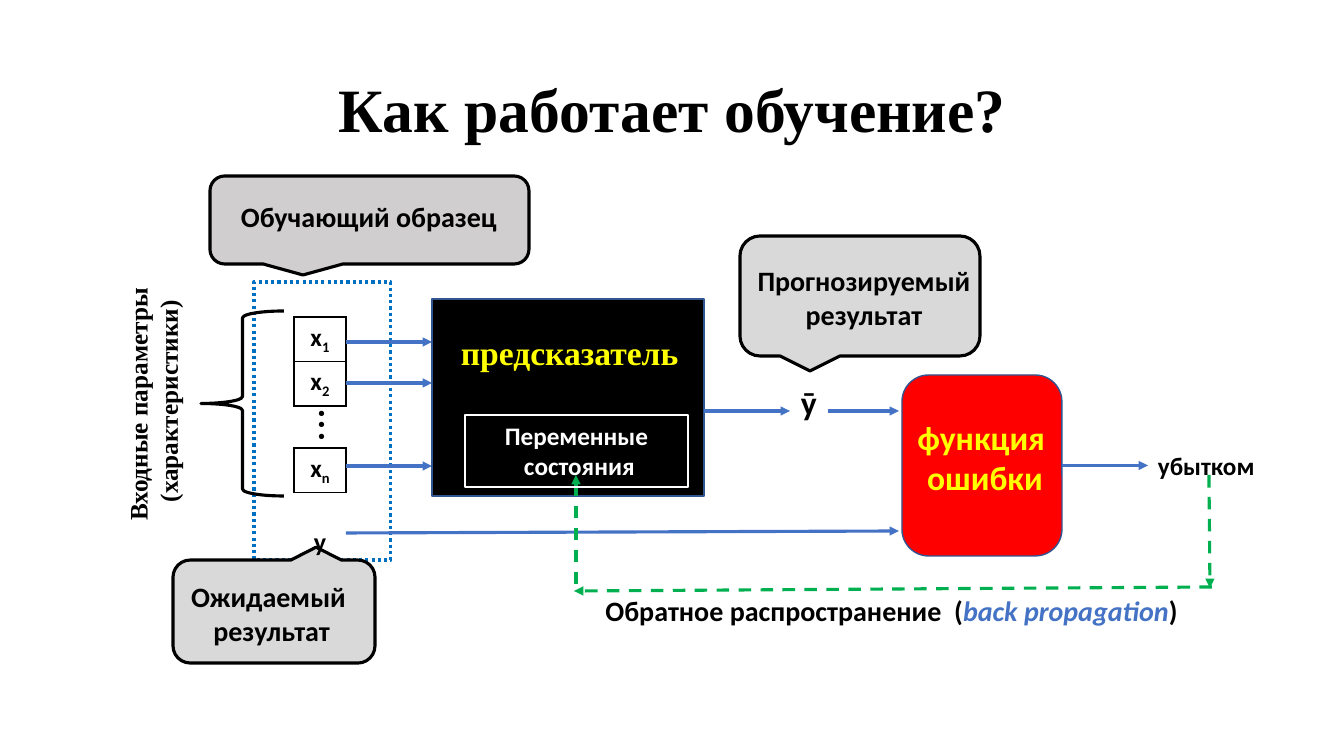
import dataclasses

import lxml.etree
import pptx
import pptx.dml.color
import pptx.enum.dml
import pptx.enum.shapes
import pptx.enum.text
import pptx.oxml.ns
import pptx.util

KINDS = pptx.enum.shapes.MSO_SHAPE
DASHES = pptx.enum.dml.MSO_LINE
ALIGN = pptx.enum.text.PP_ALIGN
ANCHOR = pptx.enum.text.MSO_ANCHOR
FIT = pptx.enum.text.MSO_AUTO_SIZE.SHAPE_TO_FIT_TEXT
qn = pptx.oxml.ns.qn


@dataclasses.dataclass(frozen=True)
class Theme:
    sans: str = "Calibri"
    serif: str = "Times New Roman"
    black: str = "000000"
    white: str = "FFFFFF"
    yellow: str = "FFFF00"
    red: str = "FF0000"
    blue: str = "4472C4"
    edge: str = "325491"
    sample: str = "0070C0"
    green: str = "00B050"
    gray: str = "D9D9D9"
    warm_gray: str = "D0CECE"
    title: int = 44
    large: int = 32
    heading: int = 24
    note: int = 20
    body: int = 18
    thick: float = 2.25
    thin: float = 1


def emu(px):
    return round(px * 914400 / 100.8)


def rgb(color):
    return pptx.dml.color.RGBColor.from_string(color)


class Diagram:
    def __init__(self, deck, theme):
        self.theme = theme
        self.slide = deck.slides.add_slide(deck.slide_layouts[6])
        self.shapes = self.slide.shapes

    def start_group(self):
        self.shapes = self.slide.shapes.add_group_shape().shapes

    def end_group(self):
        self.shapes = self.slide.shapes

    def shape(self, kind, box, line, width, fill=None, dash=None, rotation=0):
        figure = self.shapes.add_shape(kind, *map(emu, box))
        figure.shadow.inherit = False
        figure.rotation = rotation
        if fill:
            figure.fill.solid()
            figure.fill.fore_color.rgb = rgb(fill)
        else:
            figure.fill.background()
        figure.line.color.rgb = rgb(line)
        figure.line.width = pptx.util.Pt(width)
        if dash:
            figure.line.dash_style = dash
        return figure

    def callout(self, box, fill, rotation=0):
        return self.shape(KINDS.ROUNDED_RECTANGULAR_CALLOUT, box, self.theme.black,
                          self.theme.thick, fill, rotation=rotation)

    def run(self, paragraph, words, size, color=None, font=None, bold=True,
            italic=False, baseline=0):
        piece = paragraph.add_run()
        piece.text = words
        piece.font.name = font or self.theme.sans
        piece.font.size = pptx.util.Pt(size)
        piece.font.bold = bold
        piece.font.italic = italic
        piece.font.color.rgb = rgb(color or self.theme.black)
        if baseline:
            piece.font._element.set("baseline", str(baseline * 1000))

    def fill_text(self, frame, lines, size, align=ALIGN.CENTER, **style):
        frame.word_wrap = True
        for number, line in enumerate(lines):
            paragraph = frame.add_paragraph() if number else frame.paragraphs[0]
            paragraph.alignment = align
            self.run(paragraph, line, size, **style)

    def text(self, box, lines, size, rotation=0, **style):
        label = self.shapes.add_textbox(*map(emu, box))
        label.rotation = rotation
        self.fill_text(label.text_frame, lines, size, **style)
        label.text_frame.auto_size = FIT
        return label

    def arrow(self, start, end, color=None, dash=None, tip="tailEnd"):
        link = self.shapes.add_connector(pptx.enum.shapes.MSO_CONNECTOR.STRAIGHT,
                                         *map(emu, start + end))
        link.line.color.rgb = rgb(color or self.theme.blue)
        link.line.width = pptx.util.Pt(self.theme.thick)
        if dash:
            link.line.dash_style = dash
        outline = link.line._get_or_add_ln()
        lxml.etree.SubElement(outline, qn("a:" + tip), type="triangle")
        lxml.etree.SubElement(link._element.spPr, qn("a:effectLst"))
        return link

    def border(self, cell, sides):
        properties = cell._tc.get_or_add_tcPr()
        for side in "LRTB":
            edge = lxml.etree.SubElement(properties, qn("a:ln" + side),
                                         w=str(pptx.util.Pt(self.theme.thin)))
            if side in sides:
                paint = lxml.etree.SubElement(edge, qn("a:solidFill"))
                lxml.etree.SubElement(paint, qn("a:srgbClr"), val=self.theme.black)
            else:
                lxml.etree.SubElement(edge, qn("a:noFill"))

    def column(self, box, rows):
        table = self.shapes.add_table(len(rows), 1, *map(emu, box)).table
        table.first_row = table.horz_banding = False
        for number, (height, sides, runs) in enumerate(rows):
            table.rows[number].height = emu(height)
            cell = table.cell(number, 0)
            self.border(cell, sides)
            cell.fill.background()
            cell.vertical_anchor = ANCHOR.MIDDLE
            paragraph = cell.text_frame.paragraphs[0]
            paragraph.alignment = ALIGN.CENTER
            for words, size, baseline in runs:
                self.run(paragraph, words, size, baseline=baseline)


def build(diagram):
    t = diagram.theme
    diagram.shape(KINDS.RECTANGLE, (254, 282, 137, 278), t.sample, t.thick,
                  dash=DASHES.ROUND_DOT)
    diagram.callout((173, 560, 202, 103), t.gray, rotation=180)
    diagram.text((270, 383, 73, 65), ["..."], t.large, rotation=270,
                 align=ALIGN.LEFT, font=t.serif, bold=False)

    title = diagram.text((93, 40, 1159, 146), ["Как работает обучение?"], t.title,
                         font=t.serif)
    title.text_frame.auto_size = pptx.enum.text.MSO_AUTO_SIZE.NONE
    title.text_frame.vertical_anchor = ANCHOR.MIDDLE
    title.text_frame.paragraphs[0].line_spacing = 0.9

    def feature(index):
        return 44, "LRTB", [("x", t.body, 0), (index, t.body, -25)]

    diagram.column((294, 317, 52, 208), [
        feature("1"), feature("2"), (42, "TB", []), feature("n"),
        (40, "T", [("y", t.large, -25)])])
    for y in (342, 383, 466):
        diagram.arrow((346, y), (432, y))

    diagram.shape(KINDS.RECTANGLE, (432, 299, 272, 197), t.edge, t.thin, t.black)
    diagram.text((451, 327, 247, 50), ["предсказатель"], t.heading,
                 align=ALIGN.LEFT, font=t.serif, color=t.yellow)
    diagram.text((791, 377, 37, 50), ["ȳ"], t.heading, align=ALIGN.LEFT)
    diagram.arrow((704, 411), (790, 411))
    diagram.arrow((346, 533), (899, 531))
    diagram.arrow((828, 411), (899, 411))

    diagram.start_group()
    error_function = diagram.shape(KINDS.ROUNDED_RECTANGLE, (902, 375, 160, 181),
                                   t.edge, t.thin, t.red)
    diagram.text((902, 412, 166, 94), ["функция ", "ошибки"], t.heading,
                 color=t.yellow)
    loss_arrow = diagram.arrow((1062, 466), (1148, 466))
    diagram.end_group()
    loss = diagram.text((1148, 445, 119, 41), ["убытком"], t.body, align=ALIGN.LEFT)
    loss_arrow.begin_connect(error_function, 3)
    loss_arrow.end_connect(loss, 1)

    for start, end, tip in [((1209, 475), (1210, 588), "tailEnd"),
                            ((1212, 587), (574, 591), "tailEnd"),
                            ((576, 475), (576, 588), "headEnd")]:
        diagram.arrow(start, end, t.green, DASHES.DASH, tip)

    diagram.callout((740, 236, 240, 120), t.gray)
    diagram.text((744, 259, 240, 78), ["Прогнозируемый результат"], t.note)
    diagram.start_group()
    diagram.callout((210, 176, 319, 88), t.warm_gray)
    diagram.text((231, 195, 302, 50), ["Обучающий образец"], t.note, align=ALIGN.LEFT)
    diagram.end_group()
    diagram.text((145, 575, 247, 78), ["Ожидаемый", " результат"], t.note)

    diagram.shape(KINDS.LEFT_BRACE, (201, 311, 83, 185), t.black, t.thick)
    diagram.text((-1, 368, 310, 73), ["Входные параметры", " (характеристики)"],
                 t.body, rotation=270, font=t.serif)

    feedback = diagram.text((527, 589, 729, 44), ["Обратное распространение  ("], t.note)
    feedback_line = feedback.text_frame.paragraphs[0]
    diagram.run(feedback_line, "back propagation", t.note, t.blue, italic=True)
    diagram.run(feedback_line, ")", t.note)

    state = diagram.shape(KINDS.RECTANGLE, (465, 415, 223, 72), t.white, t.thin)
    state.text_frame.vertical_anchor = ANCHOR.TOP
    diagram.fill_text(state.text_frame, ["Переменные", " состояния"], t.body,
                      color=t.white)


def main():
    deck = pptx.Presentation()
    deck.slide_width, deck.slide_height = emu(1344), emu(756)
    build(Diagram(deck, Theme()))
    deck.save("out.pptx")


if __name__ == "__main__":
    main()
